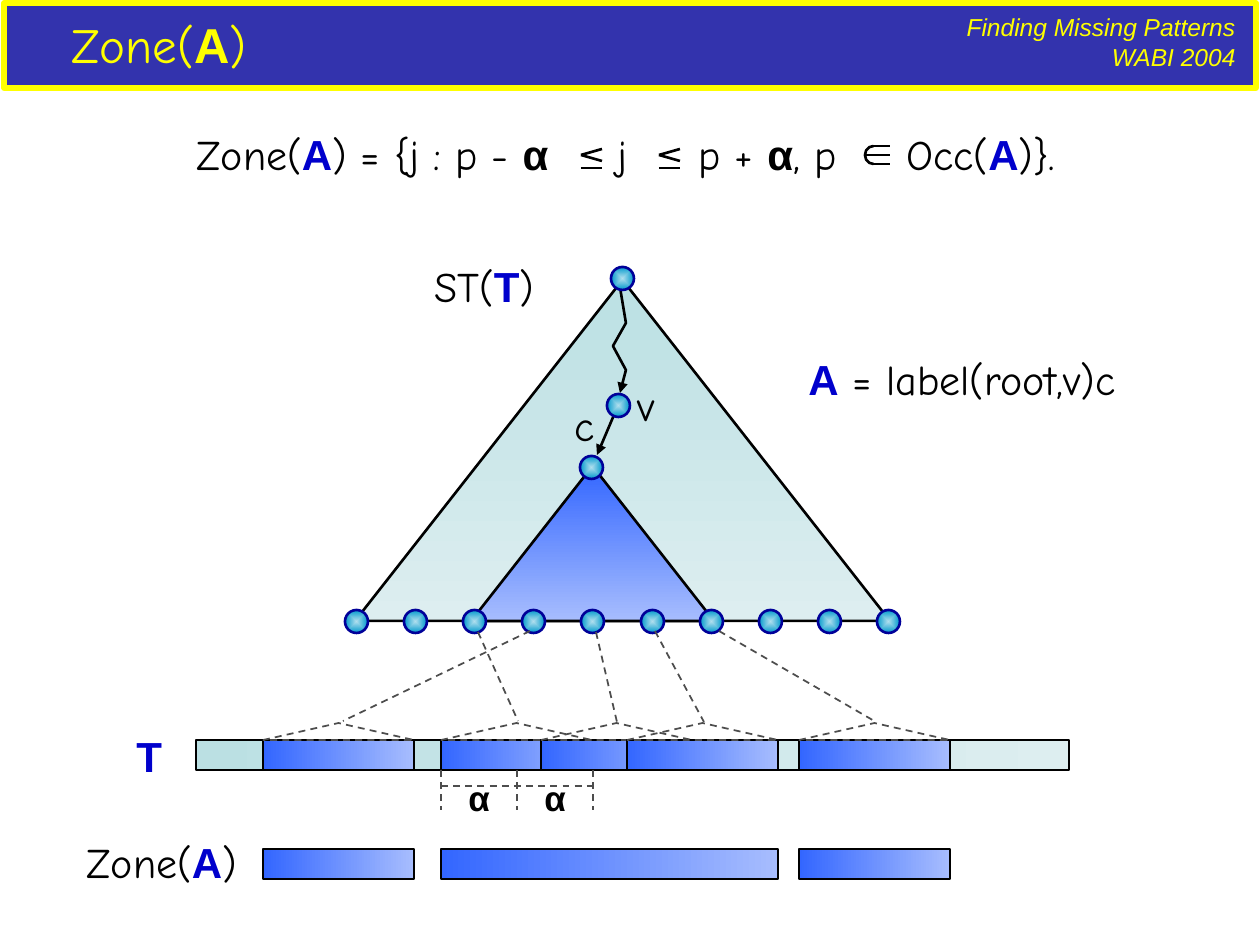
"""Build the Zone(A) suffix tree slide."""
from dataclasses import dataclass

from lxml.etree import SubElement
from pptx import Presentation
from pptx.dml.color import RGBColor
from pptx.enum.dml import MSO_LINE
from pptx.enum.shapes import MSO_CONNECTOR, MSO_SHAPE as Kind
from pptx.enum.text import MSO_AUTO_SIZE, PP_ALIGN as Align
from pptx.oxml.ns import qn
from pptx.util import Emu, Pt

EMU_PER_PX = 914400 / 126
BLACK, GREY, NAVY, YELLOW, SET_BLUE = "000000", "4D4D4D", "000099", "FFFF00", "0000CC"
BLUE_FADE, TEAL_FADE = ("3366FF", "A7BDFE"), ("BBE0E3", "DDEEF0")
NODE_FADE = ("B1DFEE", "0099CC")
NODE_SIZE, ZONE_WIDTH, BAR_HEIGHT = 23, 151, 30
BAR_TOP, RESULT_TOP, ALPHA_LEFT = 740, 849, 441


@dataclass(frozen=True)
class Style:
    """Typeface, colour and emphasis of a run."""
    name: str = "Comic Neue"
    color: str = BLACK
    bold: bool = False
    italic: bool = False


PLAIN = Style()
SET = Style("Arial", SET_BLUE, bold=True)
GREEK = Style("Arial", bold=True)
TITLE = Style(color=YELLOW)
TITLE_SET = Style("Arial", YELLOW, bold=True)
EVENT = Style("Arial", YELLOW, italic=True)


@dataclass(frozen=True)
class Box:
    """Left, top, width and height in px."""
    left: int
    top: int
    width: int
    height: int

    def emu(self) -> tuple:
        """Return the four lengths in EMU."""
        return tuple(px(v) for v in (self.left, self.top, self.width, self.height))


@dataclass(frozen=True)
class Label:
    """A text box made of lines of (text, style) runs."""
    box: Box
    lines: tuple
    size: int = 24
    align: Align = Align.LEFT
    tabs: tuple = ()


@dataclass(frozen=True)
class Stroke:
    """A straight line between two points."""
    start: tuple
    end: tuple
    color: str = GREY
    weight: float = 1
    dashed: bool = True
    arrow: bool = False


def px(value: int) -> Emu:
    """Turn px into EMU."""
    return Emu(round(value * EMU_PER_PX))


def rgb(value: str) -> RGBColor:
    """Turn a hex string into a colour."""
    return RGBColor.from_string(value)


def set_line(shape, color: str, weight: float, dashed: bool = False, arrow: bool = False) -> None:
    """Style an outline, with an optional arrowhead at its end."""
    line = shape.line
    line.color.rgb = rgb(color)
    line.width = Pt(weight)
    if dashed:
        line.dash_style = MSO_LINE.DASH
    if arrow:
        SubElement(line._get_or_add_ln(), qn("a:tailEnd"), type="triangle")


def set_gradient(shape, colors: tuple, angle: int = 0, radial: bool = False) -> None:
    """Fill a shape with a two-colour gradient."""
    shape.fill.gradient()
    for stop, color, position in zip(shape.fill.gradient_stops, colors, (0, 1)):
        stop.color.rgb = rgb(color)
        stop.position = position
    if not radial:
        shape.fill.gradient_angle = angle
        return
    gradient = shape._element.spPr.find(qn("a:gradFill"))
    gradient.remove(gradient.find(qn("a:lin")))
    focus = SubElement(gradient, qn("a:path"), path="rect")
    SubElement(focus, qn("a:fillToRect"), {side: "50000" for side in "ltrb"})


def add_outline(slide, kind, box: Box, color: str = BLACK, weight: float = 1.5, dashed: bool = False):
    """Add an unfilled preset shape."""
    shape = slide.shapes.add_shape(kind, *box.emu())
    shape.shadow.inherit = False
    shape.fill.background()
    set_line(shape, color, weight, dashed)
    return shape


def add_bar(slide, box: Box, colors: tuple = BLUE_FADE) -> None:
    """Add a bar that fades from left to right."""
    set_gradient(add_outline(slide, Kind.RECTANGLE, box, weight=0.75), colors)


def add_tree(slide, box: Box, colors: tuple) -> None:
    """Add a triangle that fades downwards."""
    set_gradient(add_outline(slide, Kind.ISOSCELES_TRIANGLE, box), colors, angle=270)


def add_node(slide, center: tuple) -> None:
    """Add a tree node around its centre."""
    left, top = (value - NODE_SIZE // 2 for value in center)
    shape = add_outline(slide, Kind.OVAL, Box(left, top, NODE_SIZE, NODE_SIZE), NAVY)
    set_gradient(shape, NODE_FADE, radial=True)


def add_stroke(slide, stroke: Stroke) -> None:
    """Add a straight connector."""
    ends = (px(value) for value in stroke.start + stroke.end)
    connector = slide.shapes.add_connector(MSO_CONNECTOR.STRAIGHT, *ends)
    set_line(connector, stroke.color, stroke.weight, stroke.dashed, stroke.arrow)
    SubElement(connector._element.spPr, qn("a:effectLst"))


def add_label(slide, label: Label) -> None:
    """Add a text box with styled runs."""
    frame = slide.shapes.add_textbox(*label.box.emu()).text_frame
    frame.word_wrap = bool(label.tabs)
    frame.auto_size = MSO_AUTO_SIZE.SHAPE_TO_FIT_TEXT
    for index, line in enumerate(label.lines):
        paragraph = frame.add_paragraph() if index else frame.paragraphs[0]
        paragraph.alignment = label.align
        if label.tabs:
            tab_list = SubElement(paragraph._p.get_or_add_pPr(), qn("a:tabLst"))
            for tab in label.tabs:
                SubElement(tab_list, qn("a:tab"), pos=str(px(tab)), algn="l")
        for text, style in line:
            run = paragraph.add_run()
            run.text = text
            values = {"name": style.name, "size": Pt(label.size), "bold": style.bold, "italic": style.italic}
            for key, value in values.items():
                setattr(run.font, key, value)
            run.font.color.rgb = rgb(style.color)


def add_symbols(slide) -> None:
    """Draw the two less-or-equal signs and the element-of sign."""
    strokes = []
    for left in (581, 659):
        right = left + 21
        strokes += [((right, 161), (left, 155)), ((right, 149), (left, 155)), ((left, 168), (right, 168))]
    strokes += [((left, y), (890, y)) for left, y in ((873, 146), (873, 164), (865, 155))]
    for start, end in strokes:
        add_stroke(slide, Stroke(start, end, BLACK, 1.5, dashed=False))
    arc = add_outline(slide, Kind.ARC, Box(865, 146, 17, 18))
    arc.adjustments[0], arc.adjustments[1] = 54, 162


def add_path(slide, points: list) -> None:
    """Draw the zigzag path from the root to v."""
    builder = slide.shapes.build_freeform(*points[0], scale=EMU_PER_PX)
    builder.add_line_segments(points[1:], close=False)
    shape = builder.convert_to_shape()
    shape.shadow.inherit = False
    shape.fill.background()
    set_line(shape, BLACK, 1.5, arrow=True)


LABELS = [
    Label(Box(954, 6, 294, 72), ((("Finding Missing Patterns", EVENT),), (("WABI 2004", EVENT),)), 14, Align.RIGHT),
    Label(Box(59, 8, 200, 72), ((("Zone(", TITLE), ("A", TITLE_SET), (")", TITLE)),), 28),
    Label(Box(184, 122, 912, 63), ((
        ("Zone(", PLAIN), ("A", SET), (") = {j : p - ", PLAIN), ("α", GREEK), ("\tj\tp + ", PLAIN),
        ("α", GREEK), (", p\tOcc(", PLAIN), ("A", SET), (")}.", PLAIN)),), tabs=(421, 502, 710)),
    Label(Box(422, 254, 125, 63), ((("ST(", PLAIN), ("T", SET), (")", PLAIN)),)),
    Label(Box(562, 393, 45, 63), ((("c", PLAIN),),)),
    Label(Box(625, 373, 43, 63), ((("v", PLAIN),),)),
    Label(Box(796, 347, 333, 63), ((("A", SET), (" = label(root,v)c", PLAIN)),)),
    Label(Box(74, 830, 188, 63), ((("Zone(", PLAIN), ("A", SET), (")", PLAIN)),)),
    Label(Box(124, 724, 50, 63), ((("T", SET),),)),
    *(Label(Box(left, 770, 47, 55), ((("α", GREEK),),), 20) for left in (456, 532)),
]
POINTERS = [((530, 631), (343, 721)), ((478, 632), (518, 721)), ((596, 632), (617, 722)),
            ((655, 631), (704, 722)), ((719, 631), (876, 722))]


def main() -> None:
    """Draw and save the slide."""
    presentation = Presentation()
    presentation.slide_width, presentation.slide_height = px(1260), px(945)
    slide = presentation.slides.add_slide(presentation.slide_layouts[6])

    header = add_outline(slide, Kind.RECTANGLE, Box(4, 3, 1252, 85), YELLOW, 3)
    header.fill.solid()
    header.fill.fore_color.rgb = rgb(NAVY)
    SubElement(header._element.spPr.find(f".//{qn('a:srgbClr')}"), qn("a:alpha"), val="80000")
    add_symbols(slide)

    add_tree(slide, Box(355, 280, 535, 341), TEAL_FADE)
    add_tree(slide, Box(471, 466, 243, 155), BLUE_FADE)
    add_path(slide, [(620, 287), (626, 323), (613, 346), (626, 370), (620, 393)])
    add_stroke(slide, Stroke((614, 415), (597, 455), BLACK, 1.5, dashed=False, arrow=True))
    leaves = [(356 + round(532 * index / 9), 621) for index in range(10)]
    for center in [(622, 278), (618, 405), (591, 467), *leaves]:
        add_node(slide, center)

    add_bar(slide, Box(196, BAR_TOP, 873, BAR_HEIGHT), TEAL_FADE)
    for left in (263, ALPHA_LEFT, 541, 627, 799):
        add_bar(slide, Box(left, BAR_TOP, ZONE_WIDTH, BAR_HEIGHT))
        add_outline(slide, Kind.ISOSCELES_TRIANGLE, Box(left, 723, ZONE_WIDTH, 17), GREY, 1, dashed=True)
    for left, width in ((263, ZONE_WIDTH), (ALPHA_LEFT, 337), (799, ZONE_WIDTH)):
        add_bar(slide, Box(left, RESULT_TOP, width, BAR_HEIGHT))

    ticks = [ALPHA_LEFT + 76 * index for index in range(3)]
    measures = [((ticks[0], 786), (ticks[-1], 786)), *(((x, 770), (x, 810)) for x in ticks)]
    for start, end in POINTERS + measures:
        add_stroke(slide, Stroke(start, end))
    for label in LABELS:
        add_label(slide, label)
    presentation.save("out.pptx")


if __name__ == "__main__":
    main()
